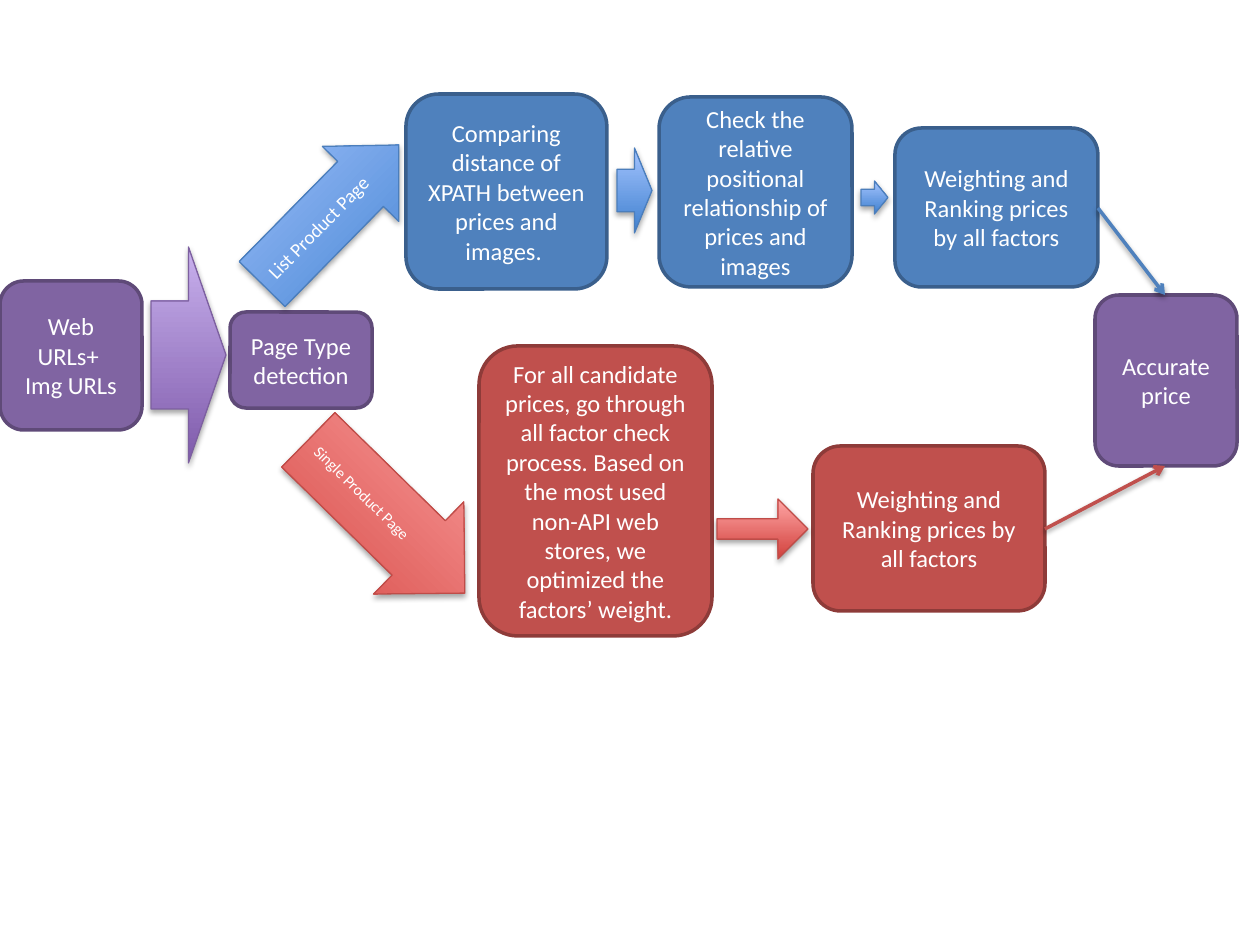
from lxml import etree
from pptx import Presentation
from pptx.dml.color import RGBColor
from pptx.enum.shapes import MSO_CONNECTOR, MSO_SHAPE
from pptx.enum.text import MSO_ANCHOR, PP_ALIGN
from pptx.oxml import parse_xml
from pptx.oxml.ns import nsdecls, qn
from pptx.util import Emu, Pt

ROUNDED, ARROW = MSO_SHAPE.ROUNDED_RECTANGLE, MSO_SHAPE.RIGHT_ARROW
STRAIGHT = MSO_CONNECTOR.STRAIGHT
CENTER, LEFT, MIDDLE = PP_ALIGN.CENTER, PP_ALIGN.LEFT, MSO_ANCHOR.MIDDLE
PX = 914400 / 126
FONT = "Calibri"

# Colours by role: box fill, box border, gradient bottom and top, arrow border
COLORS = {
    "purple": dict(fill="8064A2", border="5F4A78", low="7F5BAB", high="C8B0ED", edge="7D60A0"),
    "blue": dict(fill="4F81BD", border="3A5F8C", low="3F80CE", high="A4C4FF", edge="4B7EBC"),
    "red": dict(fill="C0504D", border="8E3B39", low="D1403C", high="FFA6A5", edge="BF4C48"),
}
WHITE = "FFFFFF"

# Steps: text, colour, (left, top, width, height)
STEPS = [
    ("Page Type detection", "purple", (230, 312, 142, 96)),
    ("Check the relative positional relationship of prices and images", "blue",
     (659, 97, 193, 190)),
    ("For all candidate prices, go through all factor check process. Based on the most "
     "used non-API web stores, we optimized the factors’ weight.", "red",
     (479, 346, 233, 290)),
    ("Comparing distance of XPATH between prices and images. ", "blue", (406, 94, 201, 195)),
    ("Weighting and Ranking prices by all factors", "blue", (895, 128, 203, 159)),
    ("Accurate price", "purple", (1095, 295, 142, 171)),
    ("Web URLs+ \nImg URLs", "purple", (0, 281, 142, 149)),
    ("Weighting and Ranking prices by all factors", "red", (813, 446, 232, 165)),
]

# Block arrows: colour, box, rotation, adjustments, label, label size
FLOW_ARROWS = [
    ("purple", (151, 247, 75, 216), 0, (0.5, 0.5), "", 0),
    ("blue", (617, 148, 35, 85), 0, (0.5, 0.5), "", 0),
    ("red", (717, 499, 91, 60), 0, (0.34, 0.5), "", 0),
    ("blue", (233, 161, 195, 107), 314.5, (0.6, 0.51), "List Product Page", 11),
    ("red", (277, 452, 219, 129), 44.4, (0.59, 0.5), "Single Product Page", 9),
    ("blue", (861, 181, 27, 33), 0, (0.5, 0.5), "", 0),
]

# Lines into the result: colour, start, end
RESULT_LINES = [
    ("blue", (1098, 208), (1165, 295)),
    ("red", (1045, 529), (1165, 466)),
]


def px(values):
    return [Emu(round(v * PX)) for v in values]


def rgb(value):
    return RGBColor.from_string(value)


def set_line(part, color, width):
    part.line.color.rgb = rgb(color)
    part.line.width = Pt(width)


def add_shadow(part, distance, opacity):
    part._element.spPr.append(parse_xml(
        f'<a:effectLst {nsdecls("a")}><a:outerShdw blurRad="40000" dist="{distance}" '
        'dir="5400000" rotWithShape="0"><a:srgbClr val="000000">'
        f'<a:alpha val="{opacity}"/></a:srgbClr></a:outerShdw></a:effectLst>'))


def write(shape, text, size, align):
    frame = shape.text_frame
    frame.text = text
    frame.word_wrap = True
    frame.vertical_anchor = MIDDLE
    for paragraph in frame.paragraphs:
        paragraph.alignment = align
        paragraph.font.name = FONT
        paragraph.font.size = Pt(size)
        paragraph.font.color.rgb = rgb(WHITE)


prs = Presentation()
prs.slide_width, prs.slide_height = px((1260, 945))
slide = prs.slides.add_slide(prs.slide_layouts[6])
shapes = slide.shapes

# Process steps
for text, color, box in STEPS:
    step = shapes.add_shape(ROUNDED, *px(box))
    step.shadow.inherit = False
    step.fill.solid()
    step.fill.fore_color.rgb = rgb(COLORS[color]["fill"])
    set_line(step, COLORS[color]["border"], 2)
    write(step, text, 14, CENTER)

# Block arrows between the steps
for color, box, rotation, adjustments, label, size in FLOW_ARROWS:
    arrow = shapes.add_shape(ARROW, *px(box))
    arrow.rotation = rotation
    for i, value in enumerate(adjustments):
        arrow.adjustments[i] = value
    arrow.fill.gradient()
    arrow.fill.gradient_angle = 90
    for stop, position, role in zip(arrow.fill.gradient_stops, (0, 1), ("low", "high")):
        stop.position = position
        stop.color.rgb = rgb(COLORS[color][role])
    set_line(arrow, COLORS[color]["edge"], 0.75)
    add_shadow(arrow, 23000, 35000)
    if label:
        write(arrow, label, size, LEFT)

# Lines into the result
for color, start, end in RESULT_LINES:
    link = shapes.add_connector(STRAIGHT, *px(start + end))
    set_line(link, COLORS[color]["fill"], 2)
    etree.SubElement(link.line._get_or_add_ln(), qn("a:tailEnd"), type="arrow")
    add_shadow(link, 20000, 38000)

prs.save("out.pptx")
